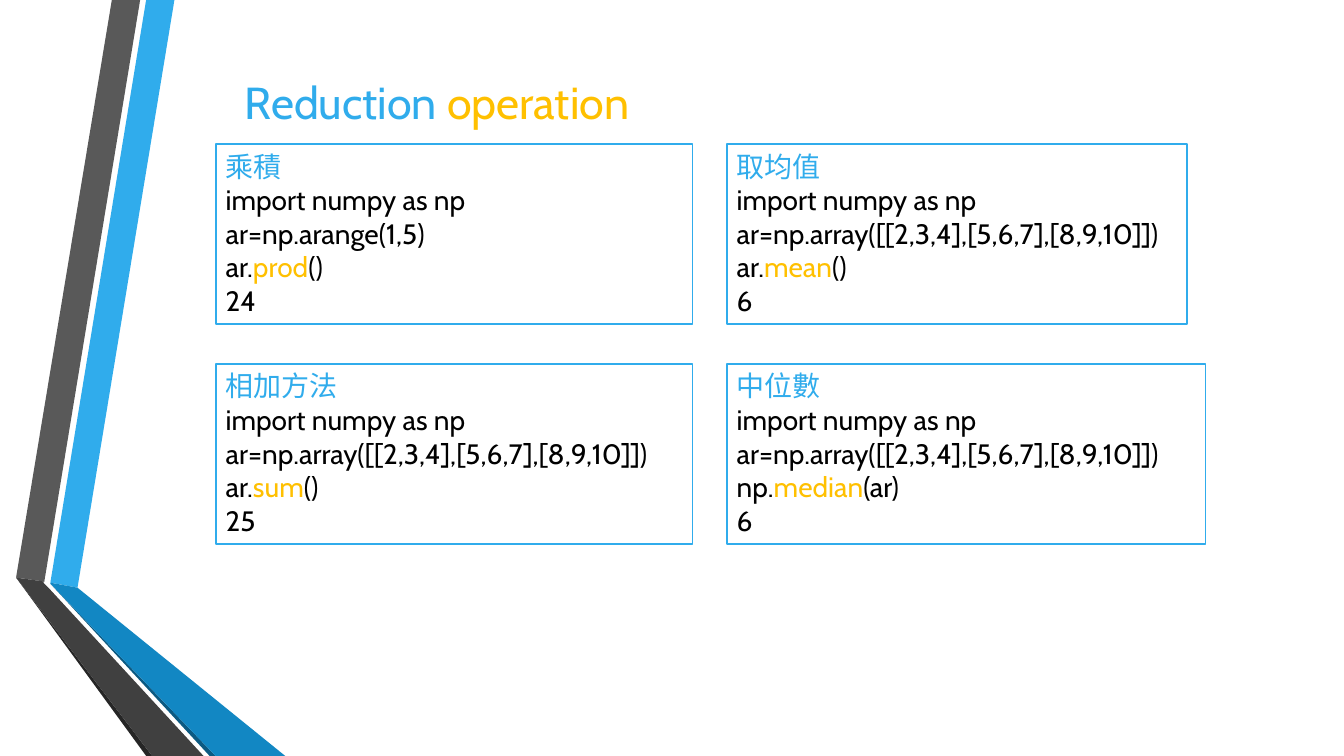
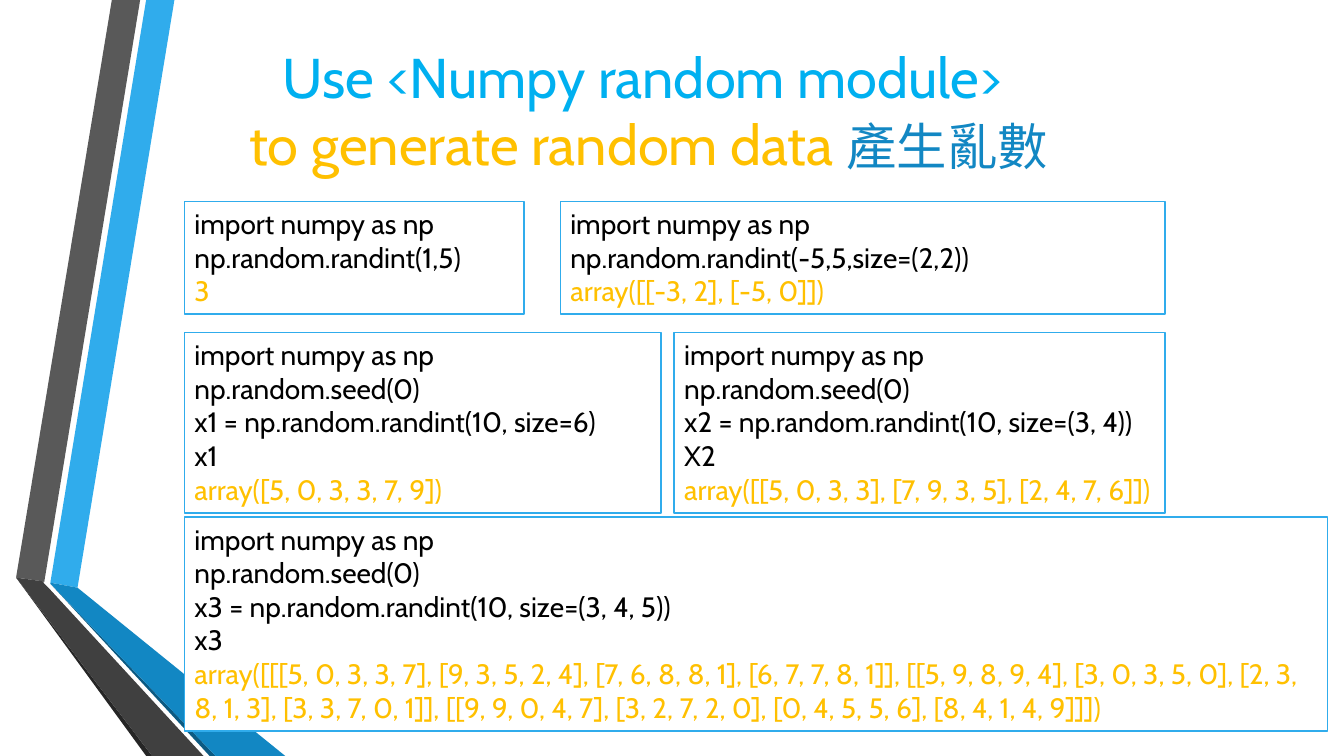
from pptx import Presentation
from pptx.dml.color import RGBColor
from pptx.enum.shapes import MSO_SHAPE
from pptx.enum.text import MSO_ANCHOR, PP_ALIGN
from pptx.util import Pt

RECTANGLE = MSO_SHAPE.RECTANGLE
TOP, MIDDLE = MSO_ANCHOR.TOP, MSO_ANCHOR.MIDDLE
LEFT, CENTER = PP_ALIGN.LEFT, PP_ALIGN.CENTER

SKY = RGBColor(0x30, 0xAC, 0xEC)
BRIGHT_BLUE = RGBColor(0x00, 0xB0, 0xF0)
BLUE = RGBColor(0x12, 0x87, 0xC3)
NAVY = RGBColor(0x0C, 0x5A, 0x82)
GOLD = RGBColor(0xFF, 0xC0, 0x00)
GRAY = RGBColor(0x59, 0x59, 0x59)
CHARCOAL = RGBColor(0x40, 0x40, 0x40)
SOOT = RGBColor(0x26, 0x26, 0x26)
BLACK = RGBColor(0x00, 0x00, 0x00)
WHITE = RGBColor(0xFF, 0xFF, 0xFF)

FONT = "Cabin"
CODE_SIZE = 20
LINE_HEIGHT = 24.3
INSETS = 7.2
IMPORT = [("import numpy as np", BLACK)]

BANDS = [
    (SKY, [(36, 416.2), (55.4, 419.8), (124.6, 0), (104.4, 0)]),
    (GRAY, [(100.1, 0), (79.9, 0), (11.5, 412.6), (31.7, 415.4)]),
    (SOOT, [(11.5, 412.6), (104.4, 540), (108.7, 540)]),
    (NAVY, [(36, 416.9), (149.8, 540), (154.1, 540)]),
    (BLUE, [(36, 416.2), (36, 416.9), (154.1, 540), (203.8, 540), (55.4, 419.8)]),
    (CHARCOAL, [(145.4, 540), (34.6, 419.8), (31, 416.2), (31.7, 415.4),
                (11.5, 412.6), (108.7, 540)]),
]


def write(frame, lines, size, align=LEFT, anchor=TOP):
    """Fill a text frame; each line is a list of (text, colour) runs."""
    frame.word_wrap = True
    frame.vertical_anchor = anchor
    for index, line in enumerate(lines):
        paragraph = frame.add_paragraph() if index else frame.paragraphs[0]
        paragraph.alignment = align
        paragraph.font.name = FONT
        paragraph.font.size = Pt(size)
        for text, color in line:
            run = paragraph.add_run()
            run.text = text
            run.font.color.rgb = color


def add_code_box(slide, left, top, width, lines, rows):
    height = rows * LINE_HEIGHT + INSETS
    box = slide.shapes.add_shape(RECTANGLE, Pt(left), Pt(top), Pt(width), Pt(height))
    box.shadow.inherit = False
    box.fill.solid()
    box.fill.fore_color.rgb = WHITE
    box.line.color.rgb = SKY
    box.line.width = Pt(1.25)
    write(box.text_frame, lines, CODE_SIZE)


prs = Presentation()
prs.slide_width, prs.slide_height = Pt(960), Pt(540)
blank = prs.slide_layouts[6]
reduction = prs.slides.add_slide(blank)
random_data = prs.slides.add_slide(blank)

# The folded bands move to the layout, so both slides share them
for color, corners in BANDS:
    points = [(Pt(x), Pt(y)) for x, y in corners]
    outline = reduction.shapes.build_freeform(*points[0])
    outline.add_line_segments(points[1:])
    band = outline.convert_to_shape()
    band.shadow.inherit = False
    band.fill.solid()
    band.fill.fore_color.rgb = color
    band.line.fill.background()
    blank.shapes.element.append(band.element)

# Slide 1: reduction operations
MATRIX = "ar=np.array([[2,3,4],[5,6,7],[8,9,10]])"
COLUMNS = (154.1, 519.1)
ROWS = (103, 259.9)
OPERATIONS = [
    (0, 0, 340.6, "乘積", "ar=np.arange(1,5)", "ar.", "prod", "()", "24"),
    (0, 1, 340.6, "相加方法", MATRIX, "ar.", "sum", "()", "25"),
    (1, 0, 329, "取均值", MATRIX, "ar.", "mean", "()", "6"),
    (1, 1, 342, "中位數", MATRIX, "np.", "median", "(ar)", "6"),
]
for column, row, width, heading, data, owner, function, arguments, result in OPERATIONS:
    lines = [
        [(heading, SKY)],
        IMPORT,
        [(data, BLACK)],
        [(owner, BLACK), (function, GOLD), (arguments, BLACK)],
        [(result, BLACK)],
    ]
    add_code_box(reduction, COLUMNS[column], ROWS[row], width, lines, len(lines))

title = reduction.shapes.add_textbox(Pt(167.8), Pt(49.7), Pt(459.4), Pt(46))
write(title.text_frame, [[("Reduction ", SKY), ("operation", GOLD)]], 32)

# Slide 2: random data
title = random_data.shapes.add_textbox(Pt(94.3), Pt(15.1), Pt(738), Pt(126))
write(title.text_frame, [
    [("Use <Numpy random module> ", BRIGHT_BLUE)],
    [("to generate random data ", GOLD), ("產生亂數", BLUE)],
], 40, CENTER, MIDDLE)
title.text_frame.paragraphs[1].runs[1].font.size = Pt(36)

SEED = "np.random.seed(0)"
CUBE = (
    "array([[[5, 0, 3, 3, 7], [9, 3, 5, 2, 4], [7, 6, 8, 8, 1], [6, 7, 7, 8, 1]], "
    "[[5, 9, 8, 9, 4], [3, 0, 3, 5, 0], [2, 3, 8, 1, 3], [3, 3, 7, 0, 1]], "
    "[[9, 9, 0, 4, 7], [3, 2, 7, 2, 0], [0, 4, 5, 5, 6], [8, 4, 1, 4, 9]]])"
)
# left, top, width, rows of text, statements, output
EXAMPLES = [
    (131.8, 144, 242.6, 3, ["np.random.randint(1,5)"], "3"),
    (400.3, 144, 432, 3, ["np.random.randint(-5,5,size=(2,2))"],
     "array([[-3, 2], [-5, 0]])"),
    (131.8, 237.6, 340.6, 5, [SEED, "x1 = np.random.randint(10, size=6)", "x1"],
     "array([5, 0, 3, 3, 7, 9])"),
    (481.7, 237.6, 350.6, 5, [SEED, "x2 = np.random.randint(10, size=(3, 4))", "X2"],
     "array([[5, 0, 3, 3], [7, 9, 3, 5], [2, 4, 7, 6]])"),
    (131.8, 369.4, 816.5, 6, [SEED, "x3 = np.random.randint(10, size=(3, 4, 5))", "x3"],
     CUBE),
]
for left, top, width, rows, statements, output in EXAMPLES:
    lines = [IMPORT, *([(text, BLACK)] for text in statements), [(output, GOLD)]]
    add_code_box(random_data, left, top, width, lines, rows)

prs.save("out.pptx")
